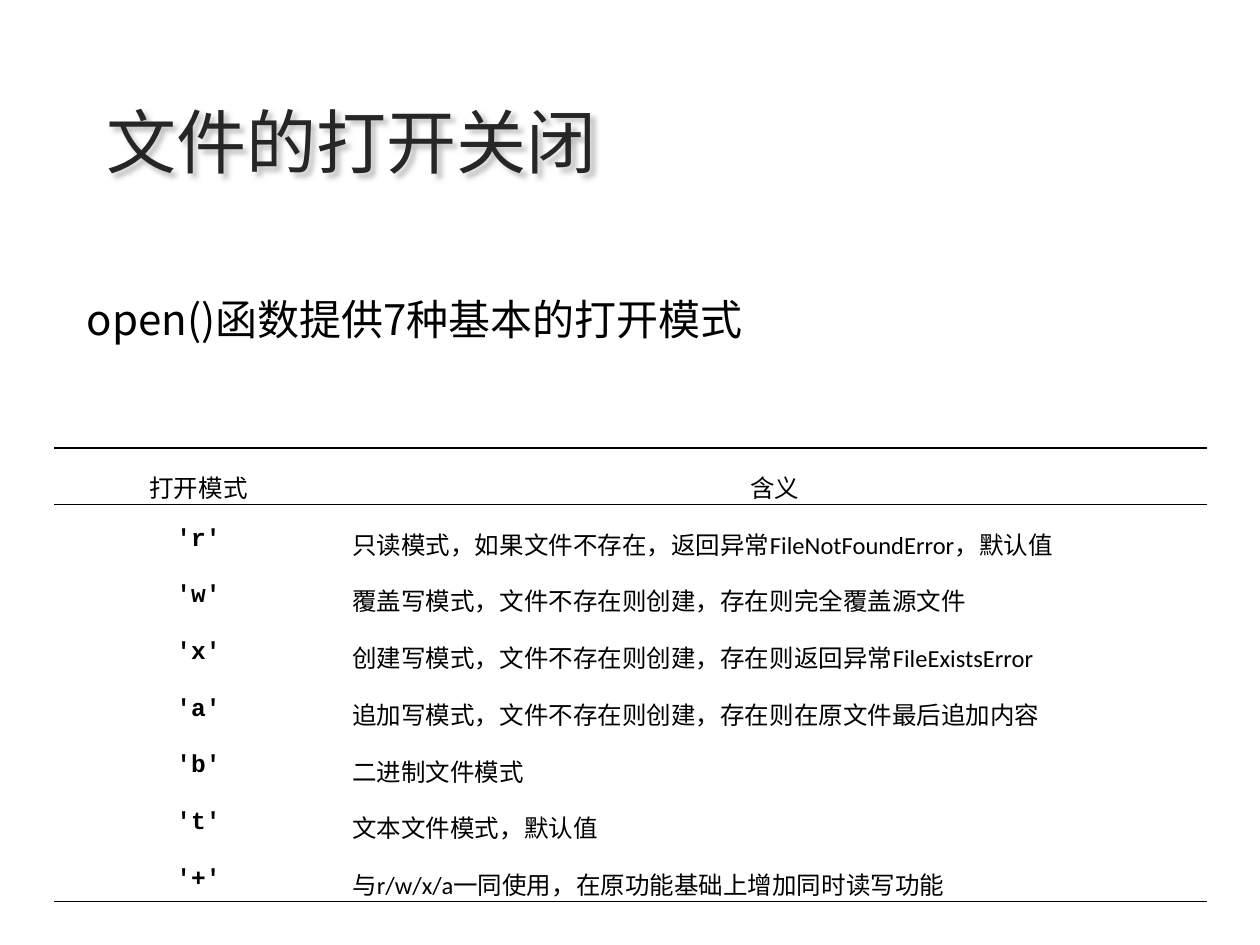
import lxml.etree
import pptx
import pptx.dml.color
import pptx.enum.text
import pptx.oxml
import pptx.oxml.ns
import pptx.util

Pt = pptx.util.Pt
RGBColor = pptx.dml.color.RGBColor
ALIGN = pptx.enum.text.PP_ALIGN
ANCHOR = pptx.enum.text.MSO_ANCHOR
qn = pptx.oxml.ns.qn

BLACK = RGBColor(0x00, 0x00, 0x00)
DARK = RGBColor(0x26, 0x26, 0x26)
WHITE = RGBColor(0xFF, 0xFF, 0xFF)
CJK_FONT = "Noto Sans CJK SC"


def format_run(r, size, color, font, bold=False):
    r.font.size = Pt(size)
    r.font.color.rgb = color
    r.font.name = font
    r.font.bold = bold
    ea = lxml.etree.Element(qn("a:ea"), typeface=CJK_FONT)
    r.font._element.find(qn("a:latin")).addnext(ea)


def add_border(cell, side, ruled):
    """Give one side (L, R, T, B) a thin black rule, or no line."""
    ln = lxml.etree.SubElement(cell._tc.get_or_add_tcPr(), qn("a:ln" + side))
    if ruled:
        ln.set("w", str(Pt(0.75)))
        fill = lxml.etree.SubElement(ln, qn("a:solidFill"))
        lxml.etree.SubElement(fill, qn("a:srgbClr"), val=str(BLACK))
    else:
        lxml.etree.SubElement(ln, qn("a:noFill"))


prs = pptx.Presentation()
prs.slide_width = Pt(720)
prs.slide_height = Pt(540)
s = prs.slides.add_slide(prs.slide_layouts[5])

# Title and lead sentence
title = s.shapes.title
title.left, title.top, title.width, title.height = Pt(53.7), Pt(52.6), Pt(294.4), Pt(55.4)
lead = s.shapes.add_textbox(Pt(42.5), Pt(164.2), Pt(756.7), Pt(36))
for sp, text, size, color in (
    (title, "文件的打开关闭", 40, DARK),
    (lead, "open()函数提供7种基本的打开模式", 24, BLACK),
):
    tf = sp.text_frame
    tf.text = text
    tf.word_wrap = sp is lead
    tf.auto_size = pptx.enum.text.MSO_AUTO_SIZE.NONE
    tf.vertical_anchor = ANCHOR.MIDDLE
    p = tf.paragraphs[0]
    p.alignment = ALIGN.LEFT
    format_run(p.runs[0], size, color, CJK_FONT)

# An unfilled shape casts its shadow from its text
shadow = pptx.oxml.parse_xml(
    '<a:effectLst xmlns:a="http://schemas.openxmlformats.org/drawingml/2006/main">'
    '<a:outerShdw blurRad="38100" dist="38100" dir="2700000" algn="tl">'
    '<a:srgbClr val="C0C0C0"/></a:outerShdw></a:effectLst>'
)
title.fill.background()
title._element.spPr.append(shadow)

# Table of modes
rows = [
    ("打开模式", "含义"),
    ("'r'", "只读模式，如果文件不存在，返回异常FileNotFoundError，默认值"),
    ("'w'", "覆盖写模式，文件不存在则创建，存在则完全覆盖源文件"),
    ("'x'", "创建写模式，文件不存在则创建，存在则返回异常FileExistsError"),
    ("'a'", "追加写模式，文件不存在则创建，存在则在原文件最后追加内容"),
    ("'b'", "二进制文件模式"),
    ("'t'", "文本文件模式，默认值"),
    ("'+'", "与r/w/x/a一同使用，在原功能基础上增加同时读写功能"),
]
ROW_HEIGHT = 32.4
LINE_HEIGHT = 25.2
last = len(rows) - 1
table = s.shapes.add_table(
    len(rows), 2, Pt(31), Pt(256), Pt(658.8), Pt(ROW_HEIGHT * len(rows))
).table
table.first_row = False
table.horz_banding = False
table.columns[0].width = Pt(164.9)
table.columns[1].width = Pt(493.9)

for i, row in enumerate(rows):
    table.rows[i].height = Pt(ROW_HEIGHT)
    for j, text in enumerate(row):
        cell = table.cell(i, j)
        header = i == 0
        is_mode = j == 0 and not header
        cell.margin_left = cell.margin_right = Pt(5.4)
        cell.margin_top = Pt(2.7 if is_mode else ROW_HEIGHT - LINE_HEIGHT)
        cell.margin_bottom = Pt(0)
        cell.vertical_anchor = ANCHOR.BOTTOM if header else ANCHOR.TOP
        for side, ruled in (
            ("L", False),
            ("R", False),
            ("T", i in (0, 1)),
            ("B", i in (0, last)),
        ):
            add_border(cell, side, ruled)
        cell.fill.solid()
        cell.fill.fore_color.rgb = WHITE
        cell.text_frame.text = text
        p = cell.text_frame.paragraphs[0]
        p.alignment = ALIGN.CENTER if header or is_mode else ALIGN.JUSTIFY
        p.line_spacing = Pt(LINE_HEIGHT)
        format_run(p.runs[0], 14, BLACK, "Courier New" if is_mode else "Calibri", is_mode)

prs.save("out.pptx")
